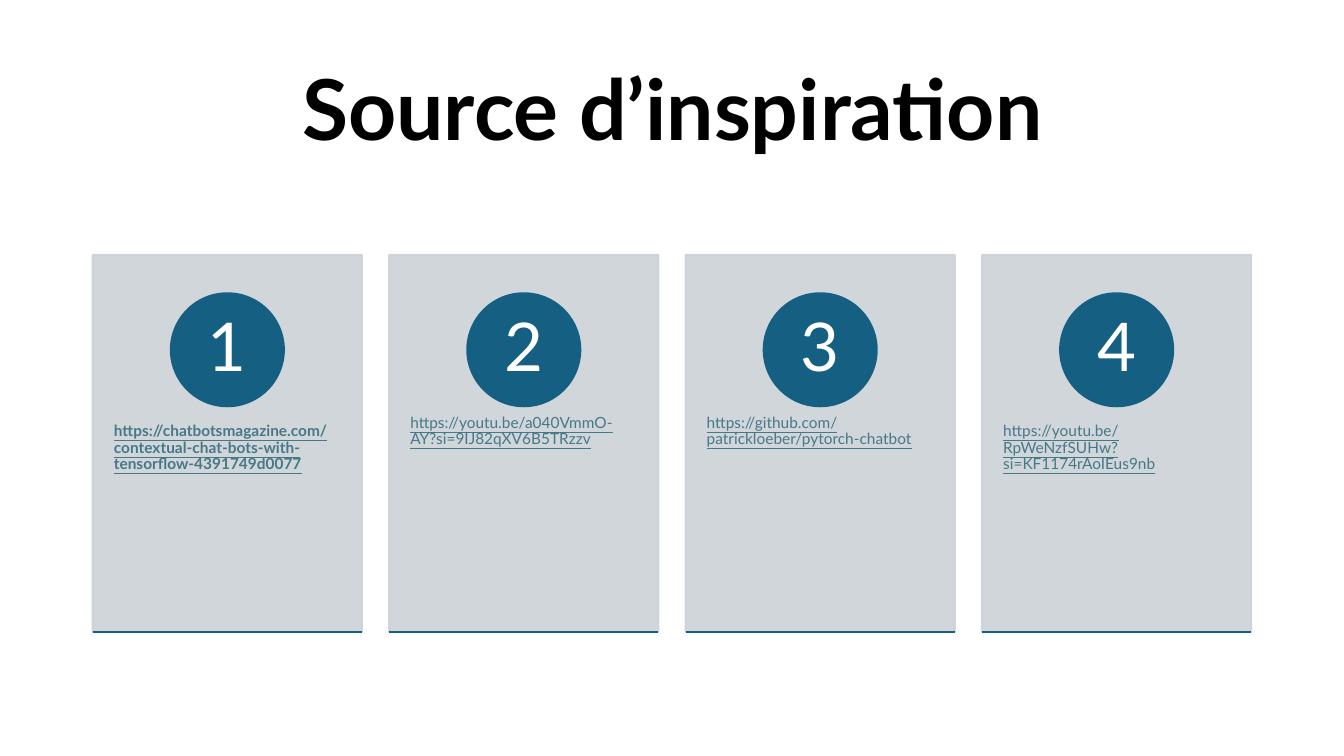
"""Build a slide with a title and four numbered source cards."""
from lxml import etree
from pptx import Presentation
from pptx.dml.color import RGBColor
from pptx.enum.shapes import MSO_CONNECTOR, MSO_SHAPE
from pptx.enum.text import MSO_ANCHOR, PP_ALIGN
from pptx.oxml.ns import qn
from pptx.util import Inches, Pt

RECT, OVAL = MSO_SHAPE.RECTANGLE, MSO_SHAPE.OVAL
STRAIGHT = MSO_CONNECTOR.STRAIGHT
TOP, MIDDLE = MSO_ANCHOR.TOP, MSO_ANCHOR.MIDDLE
LEFT, CENTER = PP_ALIGN.LEFT, PP_ALIGN.CENTER

COLORS = {"title": "000000", "card": "CCD2D8", "accent": "156082",
          "link": "467886", "number": "FFFFFF"}
TITLE = {"size": Pt(60), "bold": True}
NUMBER = {"size": Pt(48)}
LINK = {"size": Pt(11), "underline": True}
SOURCES = [
    ("https://chatbotsmagazine.com/contextual-chat-bots-with-tensorflow-4391749d0077", True),
    ("https://youtu.be/a040VmmO-AY?si=9IJ82qXV6B5TRzzv", False),
    ("https://github.com/patrickloeber/pytorch-chatbot", False),
    ("https://youtu.be/RpWeNzfSUHw?si=KF1174rAoIEus9nb", False),
]
CARD_LEFT, CARD_TOP, CARD_W, CARD_H, CARD_STEP = 0.92, 2.53, 2.67, 3.74, 2.94
CIRCLE, NUMBER_BOX = 1.12, 0.79


def rgb(name):
    """Return the named colour."""
    return RGBColor.from_string(COLORS[name])


def add_text(shapes, box, text, color, fmt, align=CENTER, anchor=MIDDLE, insets=(0.1, 0.05)):
    """Add one wrapped paragraph in a box."""
    tf = shapes.add_textbox(*map(Inches, box)).text_frame
    tf.word_wrap = True
    tf.vertical_anchor = anchor
    tf.margin_left = tf.margin_right = Inches(insets[0])
    tf.margin_top = tf.margin_bottom = Inches(insets[1])
    p = tf.paragraphs[0]
    p.alignment = align
    p.line_spacing = 0.9
    r = p.add_run()
    r.text = text
    r.font.name = "Lato"
    r.font.color.rgb = rgb(color)
    for key, value in fmt.items():
        setattr(r.font, key, value)


def add_filled(shapes, kind, box, color, opacity=100):
    """Add a shape whose fill and outline share a colour and opacity."""
    sp = shapes.add_shape(kind, *map(Inches, box))
    sp.shadow.inherit = False
    sp.fill.solid()
    sp.fill.fore_color.rgb = rgb(color)
    sp.line.color.rgb = rgb(color)
    sp.line.width = Pt(1.5)
    if opacity < 100:
        for clr in sp.fill._xPr.iter(qn("a:srgbClr")):
            etree.SubElement(clr, qn("a:alpha")).set("val", str(opacity * 1000))


def add_card(s, box, number, url, bold):
    """Add a card with a numbered circle, an address and a base line."""
    x, y, w, h = box
    shapes = s.shapes.add_group_shape().shapes
    add_filled(shapes, RECT, box, "card", 90)
    add_text(shapes, (x, y + 1.42, w, 2.25), url, "link", {**LINK, "bold": bold},
             LEFT, TOP, (0.21, 0.36))
    circle_x, circle_y = x + (w - CIRCLE) / 2, y + 0.38
    add_filled(shapes, OVAL, (circle_x, circle_y, CIRCLE, CIRCLE), "accent")
    pad = (CIRCLE - NUMBER_BOX) / 2
    add_text(shapes, (circle_x + pad, circle_y + pad, NUMBER_BOX, NUMBER_BOX),
             str(number), "number", NUMBER, insets=(0.09, 0.01))
    base = shapes.add_connector(STRAIGHT, *map(Inches, (x, y + h, x + w, y + h)))
    base.line.color.rgb = rgb("accent")
    base.line.width = Pt(1.5)
    etree.SubElement(base._element.spPr, qn("a:effectLst"))


def main():
    """Build and save the slide."""
    prs = Presentation()
    prs.slide_width, prs.slide_height = Inches(13.33), Inches(7.5)
    s = prs.slides.add_slide(prs.slide_layouts[6])
    add_text(s.shapes, (0.92, 0.4, 11.5, 1.45), "Source d’inspiration", "title", TITLE)
    for i, (url, bold) in enumerate(SOURCES):
        box = (CARD_LEFT + i * CARD_STEP, CARD_TOP, CARD_W, CARD_H)
        add_card(s, box, i + 1, url, bold)
    prs.save("out.pptx")


if __name__ == "__main__":
    main()
